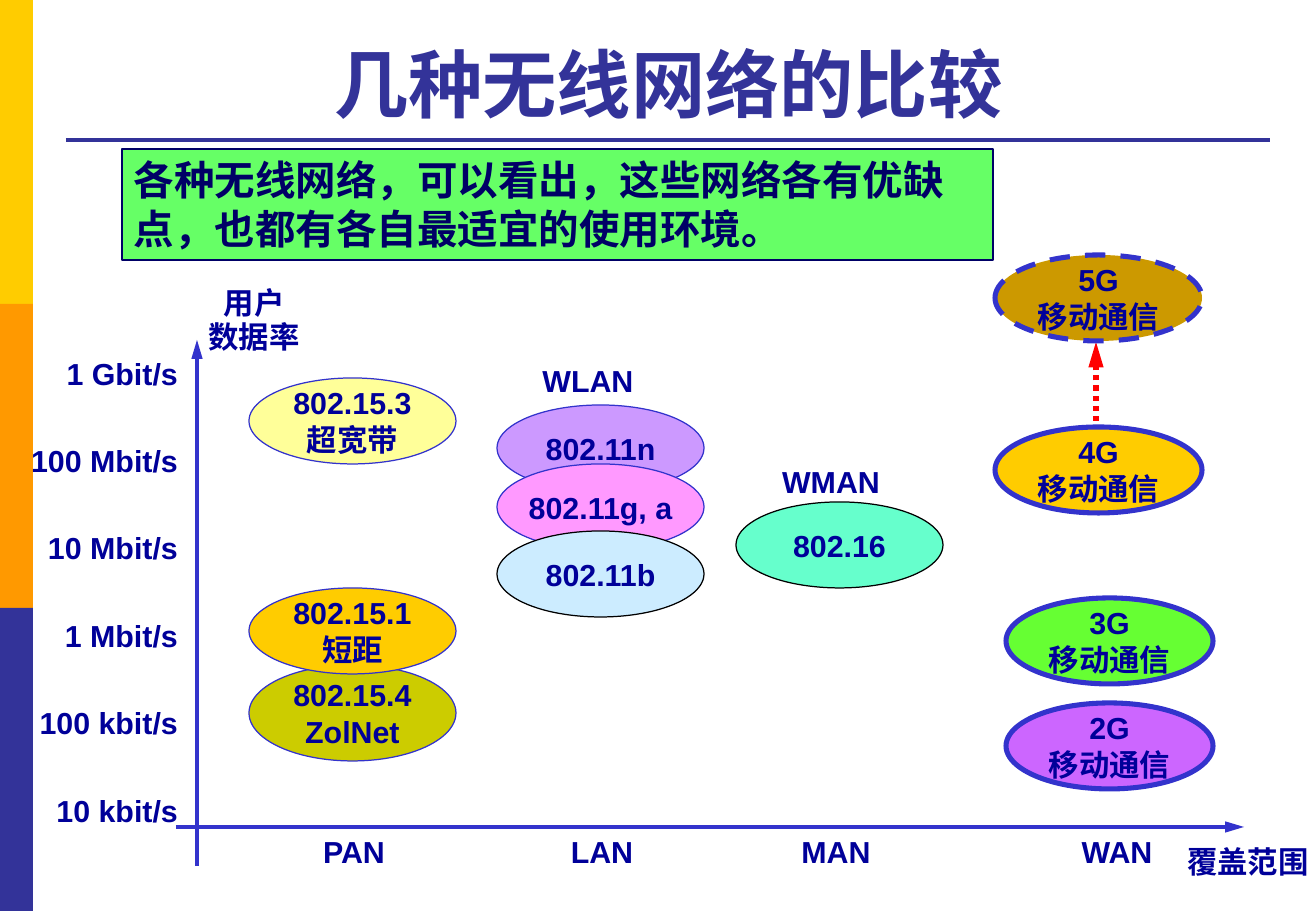
from lxml import etree
from pptx import Presentation
from pptx.dml.color import RGBColor
from pptx.enum.dml import MSO_LINE
from pptx.enum.shapes import MSO_CONNECTOR, MSO_SHAPE
from pptx.enum.text import MSO_ANCHOR, PP_ALIGN
from pptx.oxml.ns import qn
from pptx.util import Emu, Pt

PIXEL = 914400 / 121.5
WIDTH, HEIGHT = 1316, 911
NAVY, BLUE, INDIGO = "000099", "3333CC", "333399"
MOBILE = "移动通信"


def px(*lengths):
    return [Emu(round(length * PIXEL)) for length in lengths]


def write(shape, text, size=18, color=NAVY, align=PP_ALIGN.CENTER,
          anchor=MSO_ANCHOR.MIDDLE, wrap=False, spacing=None):
    frame = shape.text_frame
    frame.text = text
    frame.word_wrap = wrap
    frame.vertical_anchor = anchor
    for para in frame.paragraphs:
        para.alignment = align
        para.line_spacing = spacing
        para.font.name = "Arial"
        para.font.size = Pt(size)
        para.font.bold = True
        para.font.color.rgb = RGBColor.from_string(color)


deck = Presentation()
deck.slide_width, deck.slide_height = px(WIDTH, HEIGHT)
page = deck.slides.add_slide(deck.slide_layouts[5])
shapes = page.shapes

# Colour bars on the left edge
BAR = 304
for index, color in enumerate(("FFCC00", "FF9900", INDIGO)):
    top = index * BAR
    bar = shapes.add_shape(MSO_SHAPE.RECTANGLE, *px(0, top, 33, min(BAR, HEIGHT - top)))
    bar.shadow.inherit = False
    bar.fill.solid()
    bar.fill.fore_color.rgb = RGBColor.from_string(color)
    bar.line.fill.background()

# Title
title = shapes.title
title.left, title.top, title.width, title.height = px(67, 26, 1203, 107)
write(title, "几种无线网络的比较", size=44, color=INDIGO, anchor=MSO_ANCHOR.BOTTOM, wrap=True)

# Title rule, the two axes and the upgrade arrow
lines = [
    (66, 140, 1270, 140, INDIGO, 2.25, None, False),
    (176, 827, 1244, 827, BLUE, 2.25, None, True),
    (197, 866, 197, 340, BLUE, 2.25, None, True),
    (1096, 421, 1096, 342, "FF0000", 3, MSO_LINE.ROUND_DOT, True),
]
for x1, y1, x2, y2, color, weight, dash, arrow in lines:
    line = shapes.add_connector(MSO_CONNECTOR.STRAIGHT, *px(x1, y1, x2, y2))
    line.line.color.rgb = RGBColor.from_string(color)
    line.line.width = Pt(weight)
    if dash:
        line.line.dash_style = dash
    if arrow:
        etree.SubElement(line.line._get_or_add_ln(), qn("a:tailEnd"), type="triangle", len="lg")
    etree.SubElement(line._element.spPr, qn("a:effectLst"))

# Network ellipses, back to front: left, top, height, fill, line, weight, text
networks = [
    (497, 405, 86, "CC99FF", BLUE, 0.75, "802.11n"),
    (497, 464, 86, "FF99FF", BLUE, 0.75, "802.11g, a"),
    (497, 531, 86, "CCECFF", "000000", 0.75, "802.11b"),
    (249, 665, 96, "CCCC00", BLUE, 0.75, "802.15.4\nZolNet"),
    (249, 588, 86, "FFCC00", BLUE, 0.75, "802.15.1\n短距"),
    (249, 378, 86, "FFFF99", BLUE, 0.75, "802.15.3\n超宽带"),
    (736, 502, 86, "66FFCC", "000000", 0.75, "802.16"),
    (1006, 703, 86, "CC66FF", BLUE, 3, f"2G\n{MOBILE}"),
    (1006, 598, 86, "66FF33", BLUE, 3, f"3G\n{MOBILE}"),
    (995, 427, 86, "FFCC00", BLUE, 3, f"4G\n{MOBILE}"),
    (995, 255, 86, "CC9900", BLUE, 3, f"5G\n{MOBILE}"),
]
for left, top, height, fill, outline, weight, text in networks:
    network = shapes.add_shape(MSO_SHAPE.OVAL, *px(left, top, 207, height))
    network.shadow.inherit = False
    network.fill.solid()
    network.fill.fore_color.rgb = RGBColor.from_string(fill)
    network.line.color.rgb = RGBColor.from_string(outline)
    network.line.width = Pt(weight)
    if text.startswith("5G"):
        network.line.dash_style = MSO_LINE.DASH
    write(network, text)

# Labels: centre x, centre y, width, text, alignment
labels = [
    (254, 321, 116, "用户\n数据率", PP_ALIGN.CENTER),
    (1248, 861, 124, "覆盖范围", PP_ALIGN.CENTER),
    (588, 380, 102, "WLAN", PP_ALIGN.CENTER),
    (831, 481, 130, "WMAN", PP_ALIGN.CENTER),
]
for center, text in zip((354, 602, 836, 1117), ("PAN", "LAN", "MAN", "WAN")):
    labels.append((center, 851, 90, text, PP_ALIGN.CENTER))
rates = ("1 Gbit/s", "100 Mbit/s", "10 Mbit/s", "1 Mbit/s", "100 kbit/s", "10 kbit/s")
for index, rate in enumerate(rates):
    labels.append((103, 373 + index * 87.4, 150, rate, PP_ALIGN.RIGHT))

for center, middle, width, text, align in labels:
    height = 72 if "\n" in text else 40
    box = shapes.add_textbox(*px(center - width / 2, middle - height / 2, width, height))
    frame = box.text_frame
    frame.margin_left = frame.margin_right = frame.margin_top = frame.margin_bottom = 0
    write(box, text, align=align, spacing=0.95 if "\n" in text else None)

# Summary box
summary = shapes.add_shape(MSO_SHAPE.RECTANGLE, *px(122, 149, 871, 111))
summary.shadow.inherit = False
summary.fill.solid()
summary.fill.fore_color.rgb = RGBColor.from_string("66FF66")
summary.line.color.rgb = RGBColor.from_string("000066")
summary.line.width = Pt(0.75)
write(summary, "各种无线网络，可以看出，这些网络各有优缺点，也都有各自最适宜的使用环境。",
      size=24, color="000066", align=PP_ALIGN.LEFT, anchor=MSO_ANCHOR.TOP, wrap=True)

deck.save("out.pptx")
